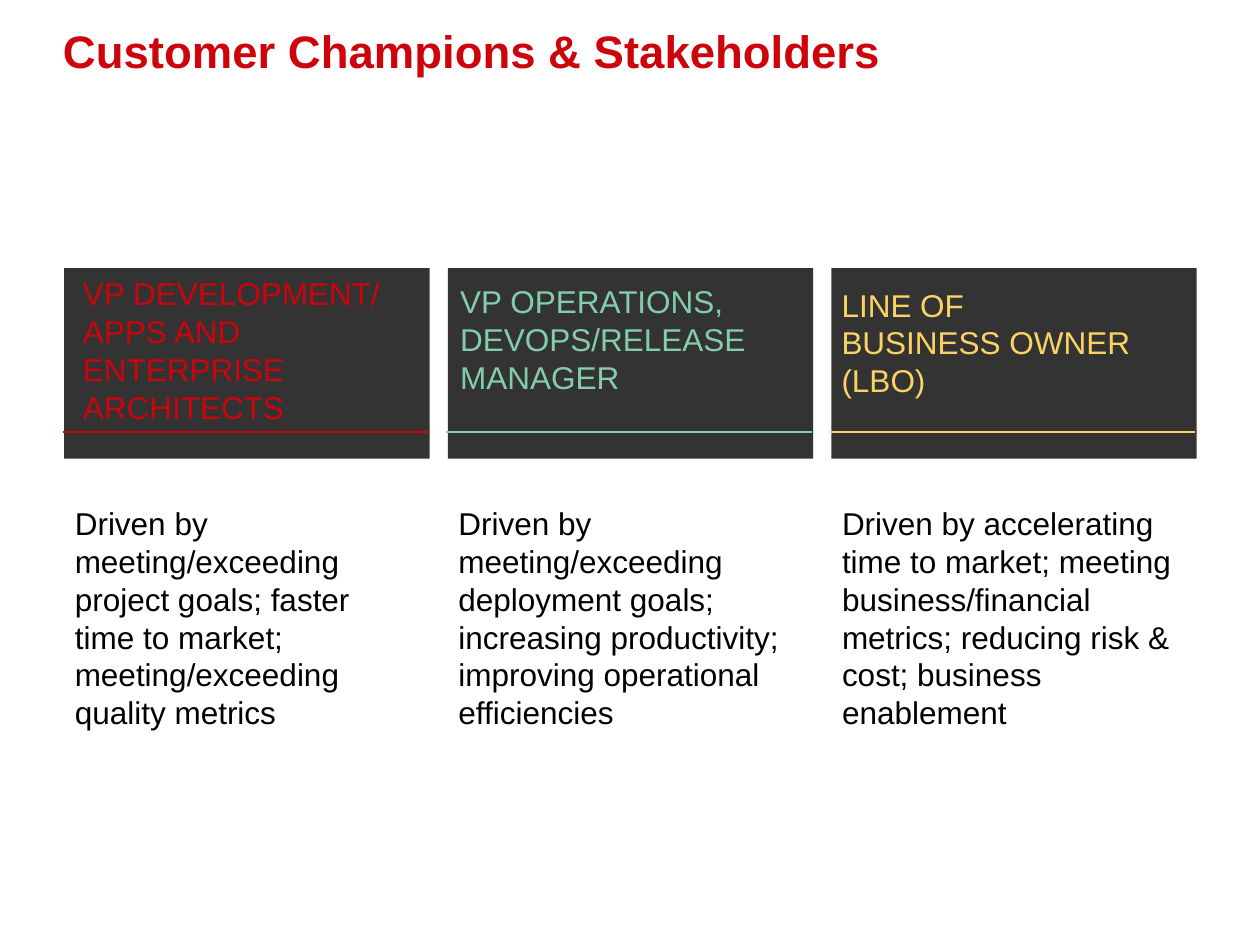
import pptx
import pptx.util
import pptx.dml.color
import pptx.enum.shapes
import pptx.oxml.ns
from lxml import etree

Pt = pptx.util.Pt
RGBColor = pptx.dml.color.RGBColor

RED = RGBColor(0xCD, 0x04, 0x0B)
GREEN = RGBColor(0x82, 0xCE, 0xAC)
YELLOW = RGBColor(0xFB, 0xD3, 0x62)
CHARCOAL = RGBColor(0x33, 0x33, 0x33)
BLACK = RGBColor(0, 0, 0)

COLUMN_LEFT, COLUMN_TOP = 36.7, 153.2
COLUMN_WIDTH, COLUMN_PITCH = 208.8, 219.2
PANEL_HEIGHT = 108.9

STAKEHOLDERS = [
    ("VP DEVELOPMENT/\vAPPS AND ENTERPRISE ARCHITECTS", RED, 3.6, 0,
     "Driven by meeting/exceeding project goals; faster time to market; "
     "meeting/exceeding\vquality metrics"),
    ("VP OPERATIONS,\vDEVOPS/RELEASE MANAGER", GREEN, 0, 4.4,
     "Driven by meeting/exceeding deployment goals; increasing productivity; "
     "improving operational efficiencies"),
    ("LINE OF\vBUSINESS OWNER\v(LBO)", YELLOW, -1.3, 6.5,
     "Driven by accelerating time to market; meeting business/financial metrics; "
     "reducing risk & cost; business enablement"),
]


def add_text(slide, text, left, top, width, height, color, size=18, bold=False):
    box = slide.shapes.add_textbox(Pt(left), Pt(top), Pt(width), Pt(height))
    frame = box.text_frame
    frame.word_wrap = True
    frame.text = text
    for run in frame.paragraphs[0].runs:
        run.font.name = "Arial"
        run.font.size = Pt(size)
        run.font.bold = bold
        run.font.color.rgb = color
    return frame


def add_title(slide, text, left, top, width, height):
    title = add_text(slide, text, left, top, width, height, RED, 26, True)
    title.margin_left = title.margin_right = 0
    title.margin_top = title.margin_bottom = 0
    title.paragraphs[0].line_spacing = 0.9


def add_stakeholder(slide, stakeholder, left, top, width):
    role, accent, role_dx, role_dy, drivers = stakeholder
    panel = slide.shapes.add_shape(
        pptx.enum.shapes.MSO_SHAPE.RECTANGLE,
        Pt(left), Pt(top), Pt(width), Pt(PANEL_HEIGHT))
    panel.shadow.inherit = False
    panel.fill.solid()
    panel.fill.fore_color.rgb = CHARCOAL
    panel.line.fill.background()

    rule_left, rule_top = left - 0.8, top + 93.8
    rule = slide.shapes.add_connector(
        pptx.enum.shapes.MSO_CONNECTOR.STRAIGHT,
        Pt(rule_left), Pt(rule_top), Pt(rule_left + width), Pt(rule_top))
    rule.line.color.rgb = accent
    rule.line.width = Pt(1)
    etree.SubElement(rule.element.spPr, pptx.oxml.ns.qn("a:effectLst"))

    role_height = 94.5 if role.startswith("VP DEV") else 72.7
    add_text(slide, role, left + role_dx, top + role_dy, width, role_height, accent)
    add_text(slide, drivers, left - 1, top + 131.4, width, 138.2, BLACK)


def main():
    presentation = pptx.Presentation()
    presentation.slide_width = Pt(720)
    presentation.slide_height = Pt(540)
    slide = presentation.slides.add_slide(presentation.slide_layouts[6])
    add_title(slide, "Customer Champions & Stakeholders", 36, 16.6, 648, 85.7)
    for index, stakeholder in enumerate(STAKEHOLDERS):
        add_stakeholder(slide, stakeholder, COLUMN_LEFT + index * COLUMN_PITCH,
                        COLUMN_TOP, COLUMN_WIDTH)
    presentation.save("out.pptx")


if __name__ == "__main__":
    main()
